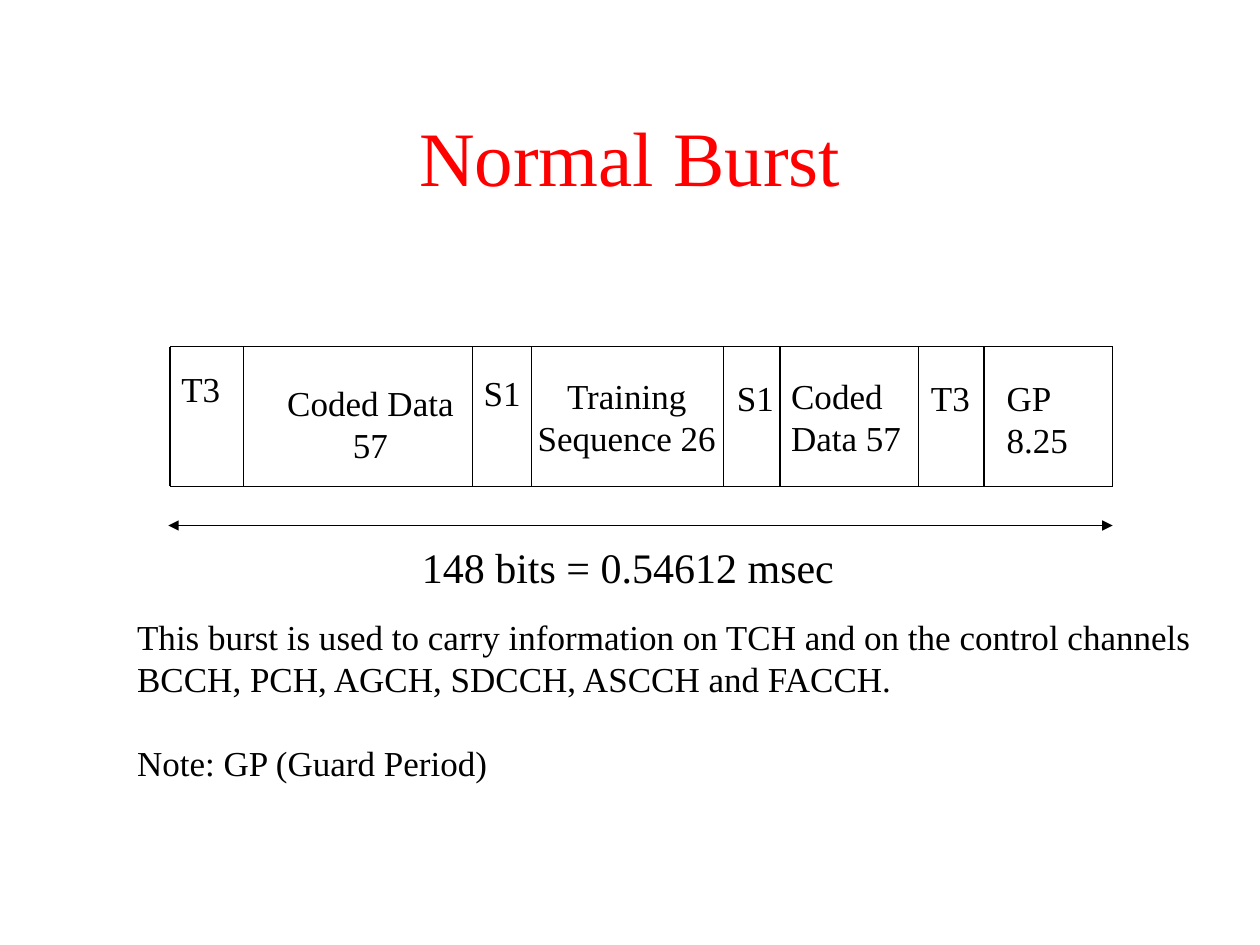
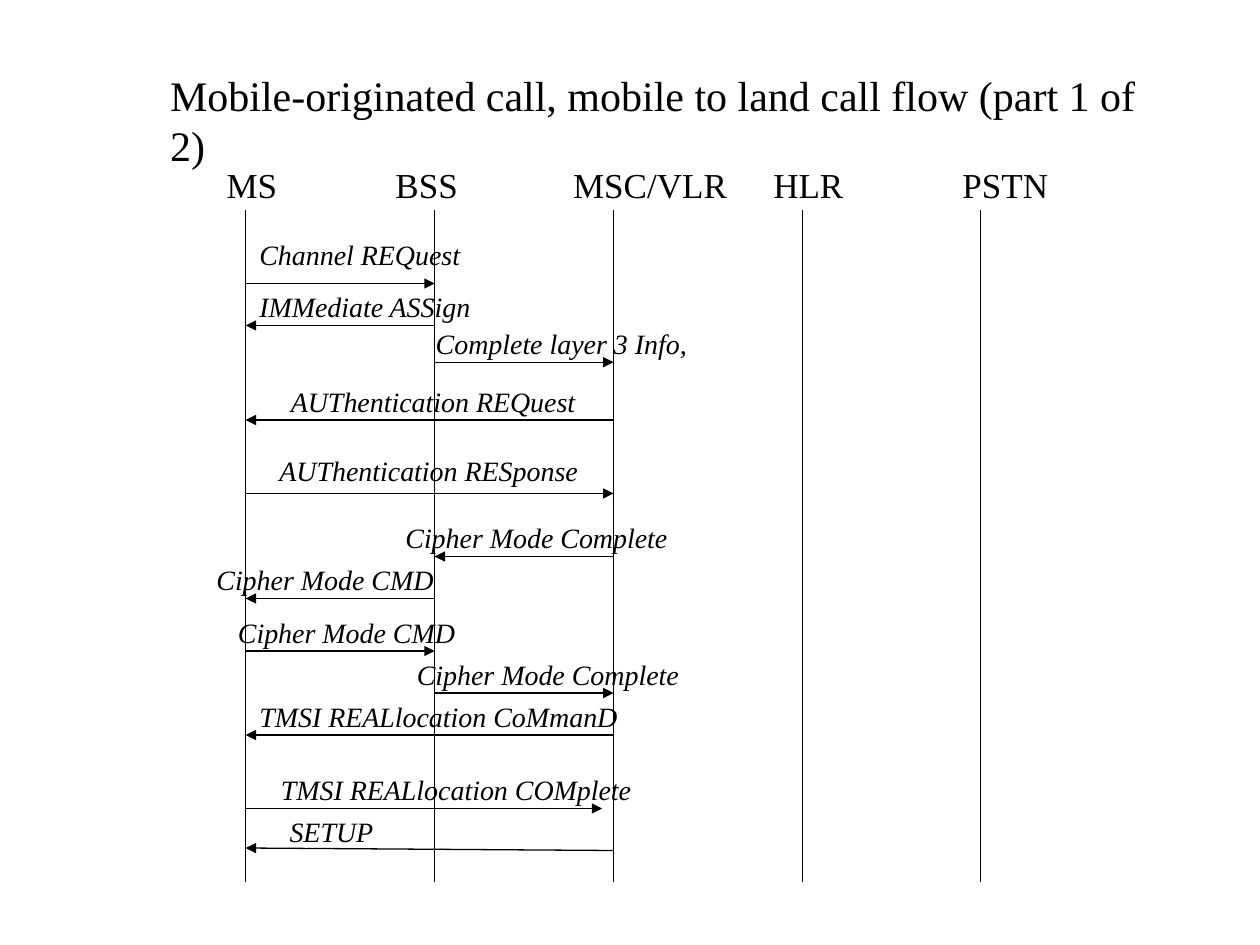
import pptx
import pptx.dml.color
import pptx.enum.shapes
import pptx.enum.text
import pptx.oxml
import pptx.oxml.ns
import pptx.util

Pt = pptx.util.Pt
ALIGN = pptx.enum.text.PP_ALIGN
ANCHOR = pptx.enum.text.MSO_ANCHOR
FONT = "Times New Roman"
BLACK = "000000"
RED = "FF0000"
PAD = 7.2

CELLS = [
    (41.8, "T3", -0.7, 8.6, 36.7, ALIGN.LEFT),
    (131, "Coded Data\n57", 18, 16.6, 109.4, ALIGN.CENTER),
    (33.8, "S1", -0.7, 10.8, 35.3, ALIGN.LEFT),
    (109.5, "Training\nSequence 26", -3.6, 12.2, 115.9, ALIGN.CENTER),
    (32.4, "S1", 0.7, 13.7, 35.3, ALIGN.LEFT),
    (79.2, "Coded\nData 57", -0.7, 12.2, 77, ALIGN.LEFT),
    (37.4, "T3", 0, 13.7, 36.7, ALIGN.LEFT),
    (73.5, "GP\n8.25", 5.8, 13.7, 49, ALIGN.LEFT),
]
NODES = [
    ("MS", 0, -18, 43.2),
    ("BSS", 108, -29.5, 49.7),
    ("MSC/VLR", 210.2, -30.2, 102.2),
    ("HLR", 318.2, -23.8, 54),
    ("PSTN", 419.8, -17.3, 63.4),
]
CALLS = [
    (0, 1, 42, "Channel REQuest", 0.7, 128.9, 30, 0, 0),
    (1, 0, 66, "IMMediate ASSign", 0.7, 135.4, 24, 0, 0),
    (1, 2, 87, "Complete layer 3 Info,", -6.5, 157.7, 24, 0, 0),
    (2, 0, 120, "AUThentication REQuest", 18.7, 177.1, 24, 0, 0),
    (0, 2, 162, "AUThentication RESponse", 12.2, 185, 26.6, 0, 0),
    (2, 1, 198, "Cipher Mode Complete", -23.8, 164.2, 24, 0, 0),
    (1, 0, 222, "Cipher Mode CMD", -23.8, 138.2, 24, 0, 0),
    (0, 1, 252, "Cipher Mode CMD", -11.5, 138.2, 24, 0, 0),
    (1, 2, 276, "Cipher Mode Complete", -17.3, 164.2, 24, 0, 0),
    (2, 0, 300, "TMSI REALlocation CoMmanD", 0.7, 218.9, 24, 0, 0),
    (0, 2, 342, "TMSI REALlocation COMplete", 13, 214.6, 24, -6.5, 0),
    (2, 0, 366, "SETUP", 18, 61.9, 24, 0, -1.4),
]


def tint(code):
    """Turn a hex string into a colour."""
    return pptx.dml.color.RGBColor.from_string(code)


def fill(shape, text, size, color=BLACK, align=ALIGN.LEFT, anchor=ANCHOR.TOP,
         wrap=False, slant=False):
    """Write text into a shape, one paragraph a line."""
    frame = shape.text_frame
    frame.text = text
    frame.word_wrap = wrap
    frame.auto_size = pptx.enum.text.MSO_AUTO_SIZE.NONE
    frame.vertical_anchor = anchor
    for para in frame.paragraphs:
        para.alignment = align
        para.font.name = FONT
        para.font.size = Pt(size)
        para.font.italic = slant
        para.font.color.rgb = tint(color)
    return frame


def label(slide, text, x, y, wide, size, **style):
    """Add a text box as high as its lines."""
    high = 1.2 * size * (text.count("\n") + 1) + PAD
    box = slide.shapes.add_textbox(Pt(x), Pt(y), Pt(wide), Pt(high))
    return fill(box, text, size, **style)


def line(slide, x, y, x2, y2, *ends):
    """Draw a thin line with arrowheads at the named ends."""
    kind = pptx.enum.shapes.MSO_CONNECTOR.STRAIGHT
    link = slide.shapes.add_connector(kind, Pt(x), Pt(y), Pt(x2), Pt(y2))
    link.line.color.rgb = tint(BLACK)
    link.line.width = Pt(0.75)
    props = link._element.spPr
    stroke = props.find(pptx.oxml.ns.qn("a:ln"))
    space = pptx.oxml.ns.nsdecls("a")
    for end in ends:
        stroke.append(pptx.oxml.parse_xml(f'<a:{end} {space} type="triangle"/>'))
    props.append(pptx.oxml.parse_xml(f"<a:effectLst {space}/>"))


def title(slide, text, box, size, **style):
    """Place and format the slide title."""
    shape = slide.shapes.title
    shape.left, shape.top, shape.width, shape.height = map(Pt, box)
    return fill(shape, text, size, **style)


def frames(slide, x, y, wide, high):
    """Draw the burst as a row of labelled cells with its length below."""
    for edge in (y, y + high):
        line(slide, x, edge, x + wide, edge)
    line(slide, x, y, x, y + high)
    left = x
    for span, text, dx, dy, room, align in CELLS:
        label(slide, text, left + dx, y + dy, room, 20, align=align)
        left += span
        line(slide, left, y, left, y + high)
    base = y + high + 22.3
    line(slide, x - 1, base, x + wide, base, "headEnd", "tailEnd")
    label(slide, "148 bits = 0.54612 msec", x + 136.8, base + 5.8, 249.8, 24)


def flow(slide, x, y, high):
    """Draw the lifelines and the messages between them."""
    for name, dx, shift, wide in NODES:
        line(slide, x + dx, y, x + dx, y + high)
        label(slide, name, x + dx + shift, y - 30, wide, 20)
    posts = [x + node[1] for node in NODES]
    for start, stop, dy, text, shift, wide, gap, dx, rise in CALLS:
        at = y + dy
        line(slide, posts[start], at, posts[stop] + dx, at + rise, "tailEnd")
        left = posts[min(start, stop)] + shift
        label(slide, text, left, at - gap, wide, 16, slant=True)


def burst(slide):
    """Build the normal burst slide."""
    frame = title(slide, "Normal Burst", (54, 48, 612, 90), 44, color=RED,
                  align=ALIGN.CENTER, anchor=ANCHOR.MIDDLE, wrap=True)
    frame.paragraphs[0].line_spacing = 0.85
    frames(slide, 97.2, 198, 538.6, 80)
    note = "\n".join([
        "This burst is used to carry information on TCH and on the control channels",
        "BCCH, PCH, AGCH, SDCCH, ASCCH and FACCH.",
        "Note: GP (Guard Period)",
    ])
    frame = label(slide, note, 71.3, 347.8, 617, 20)
    frame.paragraphs[-1].space_before = Pt(24)
    slide.shapes[-1].height = Pt(103.7)
    frame.vertical_anchor = ANCHOR.MIDDLE


def call(slide):
    """Build the call flow slide."""
    title(slide, "Mobile-originated call, mobile to land call flow (part 1 of 2)",
          (90, 36, 592, 36), 24)
    flow(slide, 140.4, 120, 384)


def main():
    """Build and save the deck."""
    deck = pptx.Presentation()
    deck.slide_width, deck.slide_height = Pt(720), Pt(540)
    for build in (burst, call):
        build(deck.slides.add_slide(deck.slide_layouts[5]))
    deck.save("out.pptx")


if __name__ == "__main__":
    main()
